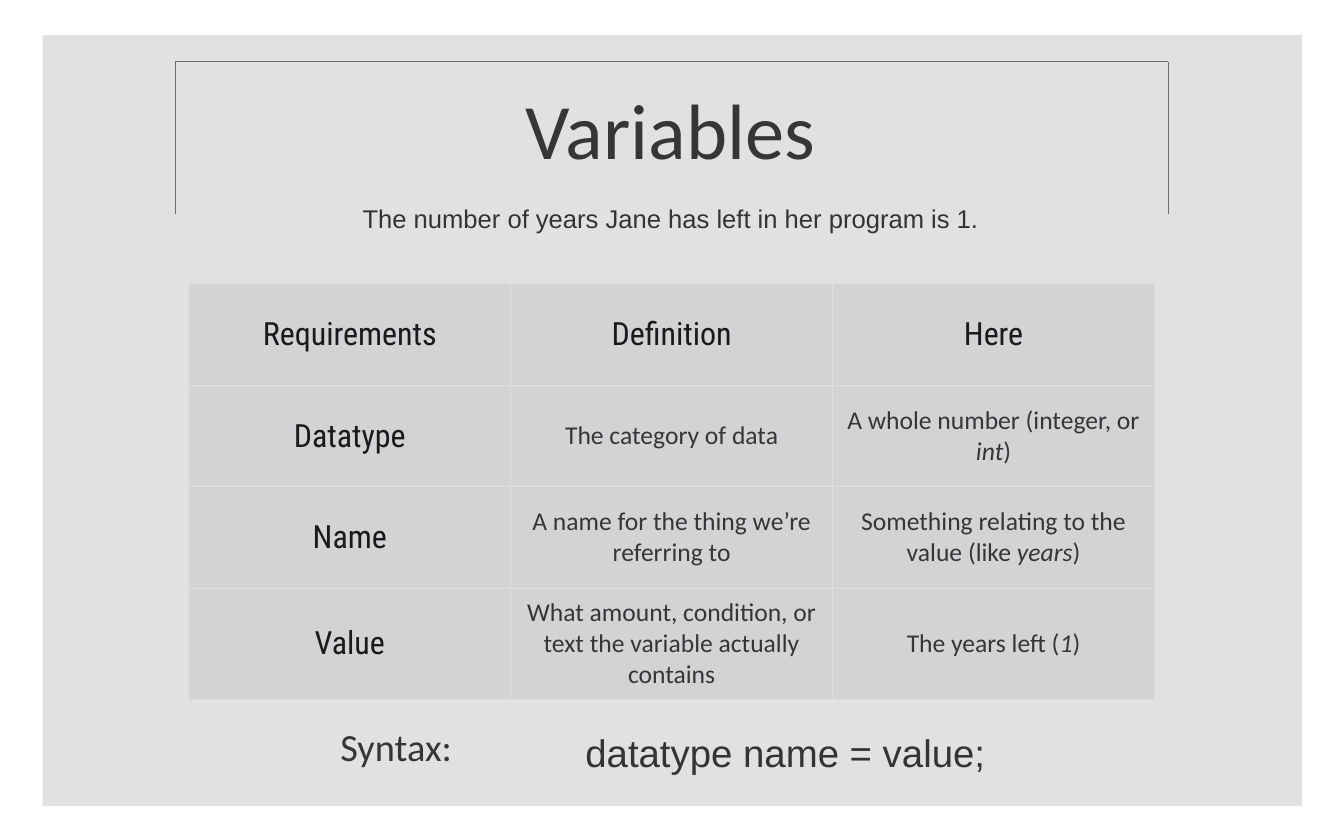
import pptx
import pptx.dml.color
import pptx.enum.shapes
import pptx.enum.text
import pptx.oxml.ns
import pptx.oxml.xmlchemy
import pptx.util

Inches = pptx.util.Inches
Pt = pptx.util.Pt
qn = pptx.oxml.ns.qn
OxmlElement = pptx.oxml.xmlchemy.OxmlElement

COLORS = {
    "panel": "B5B5B7",
    "frame": "6D6D6D",
    "grid": "DFDFDF",
    "heading": "1A1A1A",
    "body": "363636",
    "example": "343434",
}
TERM = {"size": 40, "font": "Roboto Condensed", "color": "heading"}
DETAIL = {"size": 32, "font": "Calibri", "color": "body"}

REQUIREMENTS = [
    ["Requirements", "Definition", "Here"],
    ["Datatype", "The category of data", "A whole number (integer, or *int*)"],
    ["Name", "A name for the thing we’re referring to",
     "Something relating to the value (like *years*)"],
    ["Value", "What amount, condition, or text the variable actually contains",
     "The years left (*1*)"],
]


def rgb(color):
    return pptx.dml.color.RGBColor.from_string(COLORS[color])


def write(frame, text, size, font, color, spacing=None):
    """Write one centred paragraph; text between asterisks is italic."""
    frame.word_wrap = True
    paragraph = frame.paragraphs[0]
    paragraph.alignment = pptx.enum.text.PP_ALIGN.CENTER
    if spacing:
        paragraph.line_spacing = spacing
    for index, part in enumerate(text.split("*")):
        run = paragraph.add_run()
        run.text = part
        run.font.size = Pt(size)
        run.font.name = font
        run.font.color.rgb = rgb(color)
        run.font.italic = index % 2 == 1


def tint(fill, element, color, opacity):
    """Give a fill a colour with an opacity in percent."""
    fill.solid()
    fill.fore_color.rgb = rgb(color)
    color_element = next(element.iter(qn("a:srgbClr")))
    alpha = OxmlElement("a:alpha")
    alpha.set("val", str(opacity * 1000))
    color_element.append(alpha)


def border(cell, sides):
    """Draw the cell edges whose value in sides is true and clear the others."""
    properties = cell._tc.get_or_add_tcPr()
    for position, (side, visible) in enumerate(sides.items()):
        line = OxmlElement(f"a:ln{side}")
        line.set("w", str(int(Pt(0.96))))
        paint = OxmlElement("a:solidFill" if visible else "a:noFill")
        if visible:
            color = OxmlElement("a:srgbClr")
            color.set("val", COLORS["grid"])
            paint.append(color)
        line.append(paint)
        properties.insert(position, line)


class SlideBuilder:
    def __init__(self, slide):
        self.shapes = slide.shapes
        self.middle = pptx.enum.text.MSO_ANCHOR.MIDDLE

    def panel(self, left, top, width, height):
        panel = self.shapes.add_shape(
            pptx.enum.shapes.MSO_SHAPE.RECTANGLE,
            Inches(left), Inches(top), Inches(width), Inches(height))
        panel.shadow.inherit = False
        panel.line.fill.background()
        tint(panel.fill, panel._element.spPr, "panel", 40)

    def line(self, start, end):
        line = self.shapes.add_connector(
            pptx.enum.shapes.MSO_CONNECTOR.STRAIGHT,
            *(Inches(value) for value in (*start, *end)))
        line.line.color.rgb = rgb("frame")
        line.line.width = Pt(1)
        line._element.spPr.append(OxmlElement("a:effectLst"))

    def text(self, text, left, top, width, height, **style):
        frame = self.shapes.add_textbox(
            Inches(left), Inches(top), Inches(width), Inches(height)).text_frame
        frame.margin_left = frame.margin_right = 0
        frame.margin_top = frame.margin_bottom = 0
        frame.vertical_anchor = self.middle
        write(frame, text, **style)

    def table(self, rows, left, top, column_width, row_heights):
        last_row, last_column = len(rows) - 1, len(rows[0]) - 1
        table = self.shapes.add_table(
            len(rows), len(rows[0]), Inches(left), Inches(top),
            Inches(column_width * len(rows[0])), Inches(sum(row_heights))).table
        table.first_row = table.horz_banding = False
        for column in table.columns:
            column.width = Inches(column_width)
        for r, (texts, height) in enumerate(zip(rows, row_heights)):
            table.rows[r].height = Inches(height)
            for c, text in enumerate(texts):
                cell = table.cell(r, c)
                cell.margin_left = cell.margin_right = Inches(0.06)
                cell.margin_top = cell.margin_bottom = Inches(0.05)
                cell.vertical_anchor = self.middle
                write(cell.text_frame, text, **(TERM if r == 0 or c == 0 else DETAIL))
                tint(cell.fill, cell._tc.get_or_add_tcPr(), "panel", 30)
                border(cell, {"L": c > 0, "R": c < last_column,
                              "T": r > 0, "B": r < last_row})


def main():
    presentation = pptx.Presentation()
    presentation.slide_width = Inches(23.34)
    presentation.slide_height = Inches(14.58)
    builder = SlideBuilder(presentation.slides.add_slide(presentation.slide_layouts[6]))

    builder.panel(0.74, 0.61, 21.87, 13.38)
    frame_left, frame_right, frame_top, frame_bottom = 3.04, 20.29, 1.07, 3.72
    for x in (frame_left, frame_right):
        builder.line((x, frame_bottom), (x, frame_top))
    builder.line((frame_right, frame_top), (frame_left, frame_top))

    example = {"font": "Arial", "color": "example", "spacing": 1.2}
    label = {"font": "Calibri", "color": "body"}
    builder.text("Variables", 3.77, 1.38, 15.75, 1.68, size=98, **label)
    builder.text("The number of years Jane has left in her program is 1.",
                 4.69, 3.43, 13.92, 0.62, size=32, **example)
    builder.text("Syntax:", 5.01, 12.51, 3.74, 0.87, size=48, **label)
    builder.text("datatype name = value;", 8.96, 12.53, 9.36, 0.89, size=48, **example)
    builder.table(REQUIREMENTS, 3.28, 4.93, 5.59, [1.76, 1.76, 1.76, 1.93])

    presentation.save("out.pptx")


if __name__ == "__main__":
    main()
